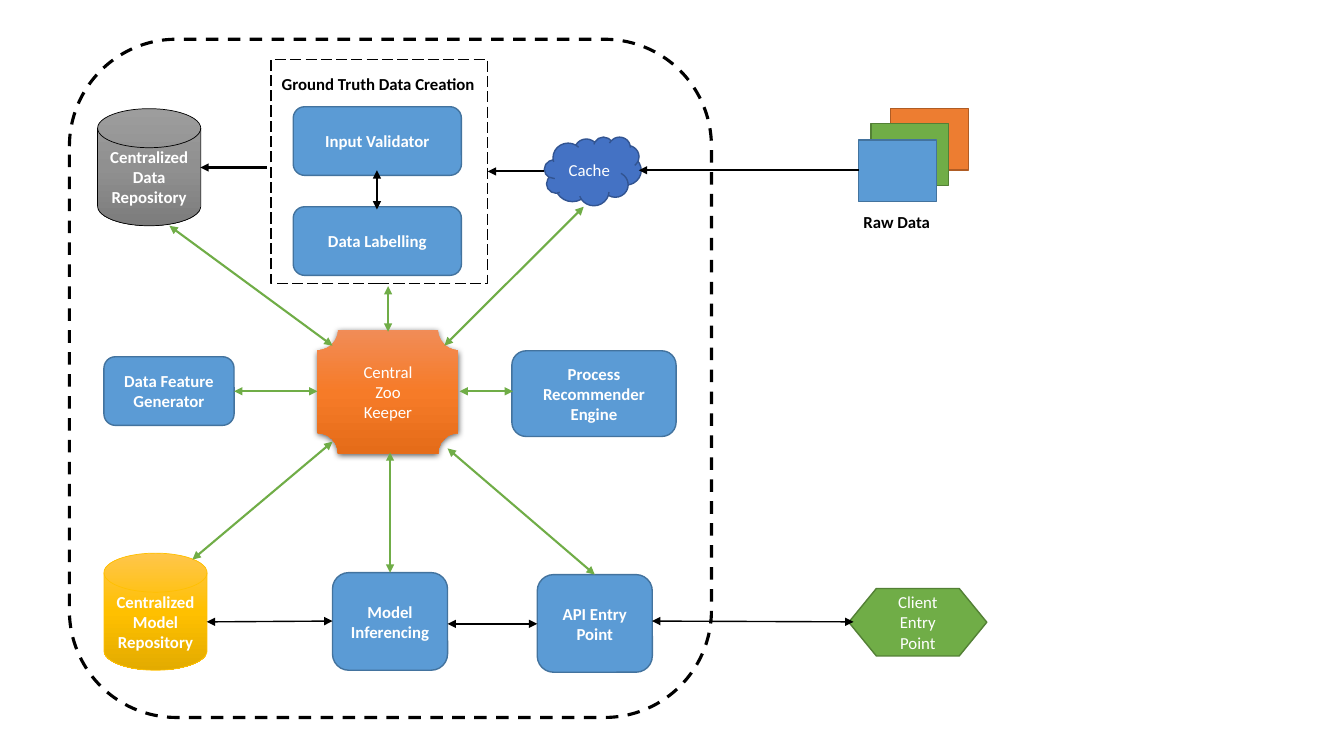
from lxml import etree
from pptx import Presentation
from pptx.dml.color import RGBColor
from pptx.enum.dml import MSO_LINE
from pptx.enum.shapes import MSO_CONNECTOR, MSO_SHAPE
from pptx.enum.text import MSO_ANCHOR, PP_ALIGN
from pptx.oxml.ns import qn
from pptx.util import Cm, Pt

RECT, ROUND = MSO_SHAPE.RECTANGLE, MSO_SHAPE.ROUNDED_RECTANGLE
DISK, CLOUD = MSO_SHAPE.FLOWCHART_MAGNETIC_DISK, MSO_SHAPE.CLOUD
PLAQUE, HEXAGON = MSO_SHAPE.PLAQUE, MSO_SHAPE.FLOWCHART_PREPARATION
DASH, LONG_DASH = MSO_LINE.DASH, MSO_LINE.LONG_DASH
STRAIGHT = MSO_CONNECTOR.STRAIGHT
MIDDLE, CENTER, LEFT = MSO_ANCHOR.MIDDLE, PP_ALIGN.CENTER, PP_ALIGN.LEFT
FONT, SIZE = "Calibri", 12
BLACK, WHITE, GREEN = "000000", "FFFFFF", "70AD47"

# Looks: fill (three colours make a gradient), line colour, width, dash
STYLES = {
    "system": (WHITE, BLACK, 2.25, DASH),
    "group": (WHITE, BLACK, 1, LONG_DASH),
    "blue": ("5B9BD5", "43739E", 1, None),
    "green": (GREEN, "538035", 1, None),
    "orange": ("ED7D31", "AF5C24", 1, None),
    "cache": ("4472C4", "325491", 1, None),
    "data": (("9D9D9D", "909090", "7C7C7C"), BLACK, 0.5, None),
    "model": (("FFC64B", "FFC000", "E3AB00"), "FFC000", 0.5, None),
    "keeper": (("F18C57", "F67B28", "E56C19"), None, 0, None),
}

# Shapes, back to front: preset, style, (left, top, width, height) in cm, text, bold
CARD, STEP, STORE, SERVICE = (1.96, 1.55), (4.24, 1.73), (2.6, 2.95), (2.9, 2.46)
SHAPES = [
    (ROUND, "system", (1.75, 0.99, 16.18, 17.09), "", False),
    (RECT, "orange", (22.45, 2.74, *CARD), "", False),
    (RECT, "green", (21.95, 3.12, *CARD), "", False),
    (RECT, "blue", (21.64, 3.53, *CARD), "", False),
    (DISK, "data", (2.46, 2.74, *STORE), "Centralized Data Repository", True),
    (CLOUD, "cache", (13.72, 3.45, 2.44, 1.73), "Cache", False),
    (RECT, "group", (6.83, 1.5, 5.46, 5.64), "", False),
    (ROUND, "blue", (7.39, 2.69, *STEP), "Input Validator", True),
    (ROUND, "blue", (7.39, 5.21, *STEP), "Data Labelling", True),
    (ROUND, "blue", (2.62, 8.99, 3.28, 1.73), "Data Feature Generator", True),
    (ROUND, "blue", (12.9, 8.84, 4.14, 2.16), "Process Recommender Engine", True),
    (PLAQUE, "keeper", (8, 8.31, 3.56, 3.12), "Central\nZoo\nKeeper", False),
    (DISK, "model", (2.62, 13.94, *STORE), "Centralized Model\nRepository", True),
    (ROUND, "blue", (8.38, 14.43, *SERVICE), "Model Inferencing", True),
    (ROUND, "blue", (13.54, 14.48, *SERVICE), "API Entry Point", True),
    (HEXAGON, "green", (21.39, 14.83, 3.48, 1.7), "Client Entry Point", False),
]
LABELS = [
    ((21.51, 5.21, 2.21, 0.76), "Raw Data", LEFT),
    ((6.81, 1.73, 5.44, 0.76), "Ground Truth Data Creation", CENTER),
]

# Arrows by kind: colour, width, both ends, list of (x1, y1, x2, y2) in cm
ARROWS = [
    (BLACK, 1.5, False, [  # ingestion
        (21.64, 4.29, 16.1, 4.29), (13.72, 4.32, 12.29, 4.32), (6.73, 4.22, 5.05, 4.22)]),
    (GREEN, 1.5, True, [  # keeper to each component
        (9.78, 7.21, 9.78, 8.36), (14.71, 5.21, 11.2, 8.71), (4.27, 5.69, 8.38, 8.71),
        (9.83, 11.4, 9.83, 14.43), (8.38, 11.13, 4.85, 14.1), (5.9, 9.86, 8, 9.86),
        (11.58, 9.86, 12.93, 9.86), (11.28, 11.3, 14.99, 14.48)]),
    (BLACK, 1, True, [  # between components
        (9.5, 4.29, 9.5, 5.28), (5.21, 15.67, 8.38, 15.65),
        (11.28, 15.72, 13.54, 15.72), (16.43, 15.65, 21.51, 15.67)]),
]


def rgb(color):
    return RGBColor.from_string(color)


def add_xml(parent, tag, **attrs):
    return etree.SubElement(parent, qn(tag), {k: str(v) for k, v in attrs.items()})


def paint(sp, colors):
    if isinstance(colors, str):
        sp.fill.solid()
        sp.fill.fore_color.rgb = rgb(colors)
        return
    sp.fill.gradient()
    sp.fill.gradient_angle = 270
    stops = sp._element.spPr.find(".//" + qn("a:gsLst"))
    for stop in list(stops):
        stops.remove(stop)
    for i, color in enumerate(colors):
        stop = add_xml(stops, "a:gs", pos=i * 50000)
        add_xml(stop, "a:srgbClr", val=color)


def write(sp, text, color, bold, align, wrap=True):
    tf = sp.text_frame
    tf.word_wrap = wrap
    for i, line in enumerate(text.split("\n")):
        p = tf.paragraphs[0] if i == 0 else tf.add_paragraph()
        p.alignment = align
        r = p.add_run()
        r.text = line
        for name, value in {"name": FONT, "size": Pt(SIZE), "bold": bold}.items():
            setattr(r.font, name, value)
        r.font.color.rgb = rgb(color)


prs = Presentation()
prs.slide_width, prs.slide_height = Cm(33.87), Cm(19.05)
shapes = prs.slides.add_slide(prs.slide_layouts[6]).shapes

# Components
for preset, style, box, text, bold in SHAPES:
    fill, line, width, dash = STYLES[style]
    sp = shapes.add_shape(preset, *map(Cm, box))
    sp.shadow.inherit = False
    paint(sp, fill)
    if line:
        sp.line.color.rgb = rgb(line)
        sp.line.width = Pt(width)
        sp.line.dash_style = dash
    else:
        sp.line.fill.background()
    if text:
        sp.text_frame.vertical_anchor = MIDDLE
        write(sp, text, WHITE, bold, CENTER)
    # Only the keeper casts a soft shadow
    if style == "keeper":
        effects = sp._element.spPr.find(qn("a:effectLst"))
        shadow = add_xml(effects, "a:outerShdw", blurRad=Pt(4.5), dist=Pt(1.5),
                         dir=5400000, algn="ctr", rotWithShape=0)
        add_xml(add_xml(shadow, "a:srgbClr", val=BLACK), "a:alpha", val=63000)

# Labels
for box, text, align in LABELS:
    write(shapes.add_textbox(*map(Cm, box)), text, BLACK, True, align, wrap=False)

# Arrows
for color, width, both_ends, routes in ARROWS:
    for route in routes:
        cx = shapes.add_connector(STRAIGHT, *map(Cm, route))
        cx.line.color.rgb = rgb(color)
        cx.line.width = Pt(width)
        ln = cx.line._get_or_add_ln()
        for end in ["a:headEnd", "a:tailEnd"] if both_ends else ["a:tailEnd"]:
            add_xml(ln, end, type="triangle")
        add_xml(cx._element.spPr, "a:effectLst")

prs.save("out.pptx")
